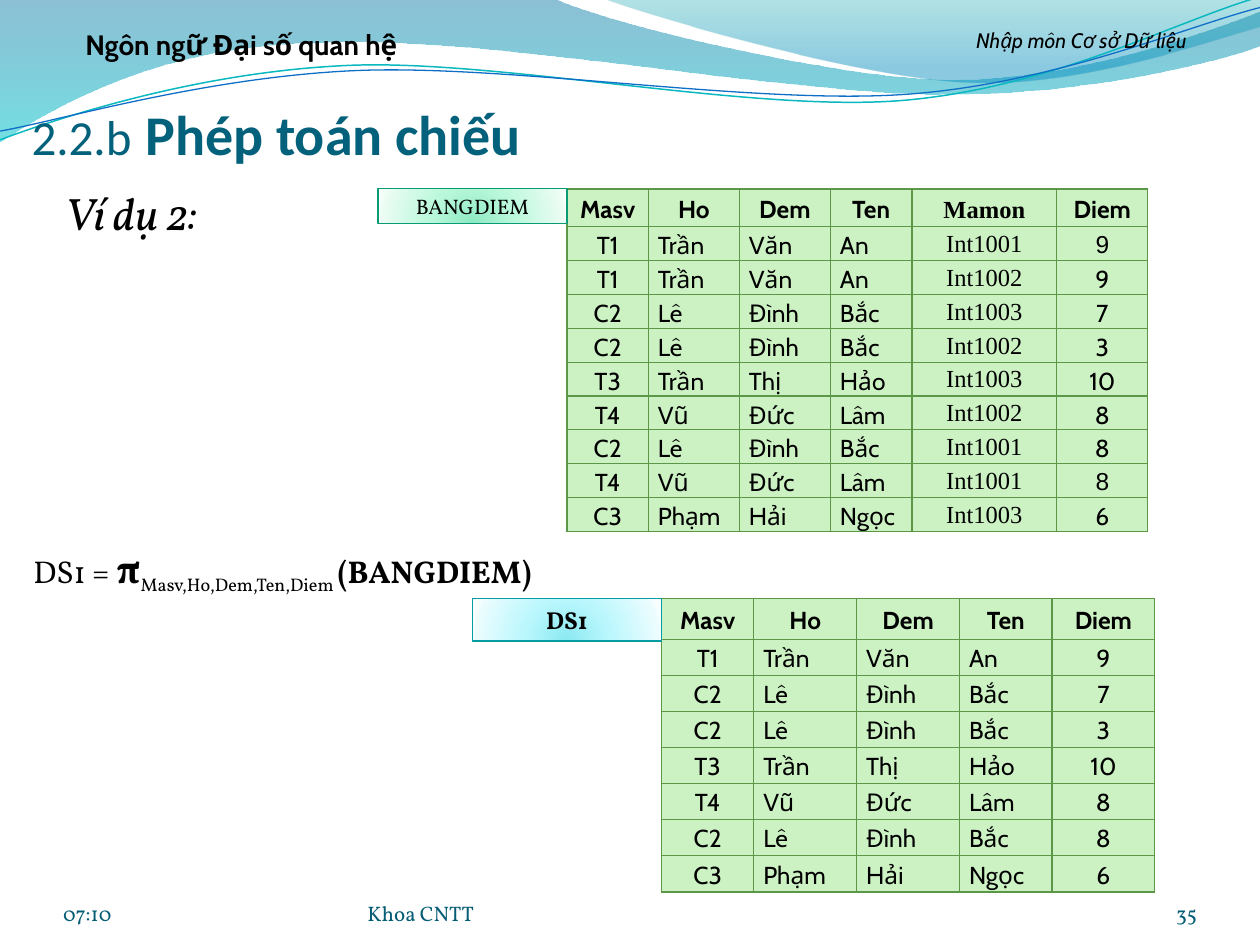
from lxml.etree import SubElement
from pptx import Presentation
from pptx.dml.color import RGBColor
from pptx.enum.shapes import MSO_SHAPE
from pptx.enum.text import MSO_ANCHOR, PP_ALIGN
from pptx.oxml.ns import qn
from pptx.util import Pt

COLORS = {
    "ink": "000000", "title": "04617B", "footer": "045D75",
    "cell": "CCF2C4", "border": "5B9747",
    "teal_wave": "0AB8BF", "blue_wave": "0F6FC6",
}

BANDS = [
    ((0, -0.7),
     [[(316.8, -0.7)],
      [(342.7, 12.2), (478, 45.4), (545.8, 45.4)],
      [(614, 45.4), (689.8, 18.7), (720, 6.5)],
      [(720.7, 25.9)],
      [(707.8, 31.7), (626.4, 54.7), (537, 54)],
      [(447.8, 54), (275, 20.2), (185, 24.5)],
      [(92.9, 25.2), (33, 59.8), (-0.7, 81.4)],
      [(0, -0.7)]],
     [(0, "0074A1", 45), (100, "00C6CF", 55)]),
    ((344.9, -0.7),
     [[(366.5, 7.9), (491, 44.6), (553.7, 46.8)],
      [(616.3, 49.7), (692, 23), (720, 15.1)],
      [(720, 0)],
      [(344.9, -0.7)]],
     [(0, "00A1A9", 30), (80, "008BBF", 45), (100, "008BBF", 45)]),
]
WAVES = [
    ((0, 79.9),
     [[(34.6, 67), (113.8, 41), (199.4, 37.4)],
      [(284.4, 33.8), (427, 64), (513.4, 57.6)],
      [(599.8, 51), (675.4, 10.8), (718.6, -1.4)]], "teal_wave", 0.85),
    ((0, 74.9),
     [[(33.8, 69), (118, 43.9), (203.8, 40.3)],
      [(290.2, 36.7), (429.8, 59.8), (516.2, 54)],
      [(602, 48.2), (677.5, 15.1), (720, 4.3)]], "blue_wave", 0.75),
]

FOOTER = {"font": "Vollkorn", "size": 12, "color": "footer",
          "insets": (0, 0, 0, 0), "anchor": MSO_ANCHOR.BOTTOM}
TEXTS = [
    ((30, 102, 654, 402), ["Ví dụ 2:"],
     {"font": "Vollkorn", "size": 26, "italic": True}),
    ((36, 500, 168, 29), ["07:10"], FOOTER),
    ((624, 500, 60, 29), ["35"], {**FOOTER, "align": PP_ALIGN.RIGHT}),
    ((210, 500, 264, 29), ["Khoa CNTT"], FOOTER),
    ((516, 12, 204, 27), ["Nhập môn Cơ sở Dữ liệu"],
     {"font": "Cabin", "size": 12, "italic": True, "align": PP_ALIGN.CENTER}),
    ((18, 12, 240, 27), ["Ngôn ngữ Đại số quan hệ"],
     {"font": "Cabin", "size": 16, "bold": True, "align": PP_ALIGN.CENTER}),
    ((18, 54, 660, 42),
     [("2.2.b", {"size": 28}), (" ", {"size": 35}),
      ("Phép toán chiếu", {"size": 32, "bold": True})],
     {"font": "Calibri", "color": "title", "insets": (0, 3.6, 0, 0),
      "anchor": MSO_ANCHOR.BOTTOM}),
    ((12, 306, 318, 36),
     ["DS1 = ", ("π", {"size": 24, "bold": True}),
      ("Masv,Ho,Dem,Ten,Diem ", {"baseline": -25}),
      ("(BANGDIEM)", {"bold": True})],
     {"font": "Vollkorn", "size": 18}),
]

GRADES = [
    ("Masv", "Ho", "Dem", "Ten", "Mamon", "Diem"),
    ("T1", "Trần", "Văn", "An", "Int1001", "9"),
    ("T1", "Trần", "Văn", "An", "Int1002", "9"),
    ("C2", "Lê", "Đình", "Bắc", "Int1003", "7"),
    ("C2", "Lê", "Đình", "Bắc", "Int1002", "3"),
    ("T3", "Trần", "Thị", "Hảo", "Int1003", "10"),
    ("T4", "Vũ", "Đức", "Lâm", "Int1002", "8"),
    ("C2", "Lê", "Đình", "Bắc", "Int1001", "8"),
    ("T4", "Vũ", "Đức", "Lâm", "Int1001", "8"),
    ("C3", "Phạm", "Hải", "Ngọc", "Int1003", "6"),
]
PROJECTION = list(dict.fromkeys(row[:4] + row[5:] for row in GRADES))
TABLES = [
    (GRADES, (324, 108), (46.6, 52, 52, 46.6, 82.8, 52), (21.6, 18),
     {(1, 5): "Arial", (8, 5): "Arial"}),
    (PROJECTION, (378, 342), (52.8, 58.8, 58.8, 52.8, 58.8), (23.3, 20.65), {}),
]
LABELS = [
    ("BANGDIEM", (216, 107.8, 108, 20), ("8DEAC2", "BAF8DB", "EAFCF3", "F7FFFB"),
     "0A9B74", {"size": 12}),
    ("DS1", (270, 342, 108, 24.3), ("8BE9F1", "B9F7FD", "EAFCFE", "F8FEFF"),
     "069CA3", {"size": 14, "bold": True}),
]


def rgb(color):
    return RGBColor.from_string(COLORS.get(color, color))


def write_text(frame, runs, font="Cabin", size=14, color="ink", bold=False,
               italic=False, align=PP_ALIGN.LEFT, anchor=MSO_ANCHOR.TOP,
               insets=(7.2, 3.6, 7.2, 3.6), spacing=None):
    frame.word_wrap = True
    frame.vertical_anchor = anchor
    (frame.margin_left, frame.margin_top,
     frame.margin_right, frame.margin_bottom) = map(Pt, insets)
    paragraph = frame.paragraphs[0]
    paragraph.alignment = align
    paragraph.line_spacing = spacing
    for part in runs:
        words, own = (part, {}) if isinstance(part, str) else part
        run = paragraph.add_run()
        run.text = words
        run.font.name = font
        run.font.size = Pt(own.get("size", size))
        run.font.bold = own.get("bold", bold)
        run.font.italic = italic
        run.font.color.rgb = rgb(color)
        if "baseline" in own:
            run.font._element.set("baseline", str(own["baseline"] * 1000))


def add_color(parent, color, alpha=100):
    node = SubElement(parent, qn("a:srgbClr"), val=color)
    if alpha < 100:
        SubElement(node, qn("a:alpha"), val=str(alpha * 1000))


def fill_gradient(shape, stops, radial=False):
    shape.fill.gradient()
    gradient = shape._element.spPr.find(qn("a:gradFill"))
    for child in list(gradient):
        gradient.remove(child)
    stop_list = SubElement(gradient, qn("a:gsLst"))
    for position, color, alpha in stops:
        add_color(SubElement(stop_list, qn("a:gs"), pos=str(position * 1000)),
                  color, alpha)
    if radial:
        circle = SubElement(gradient, qn("a:path"), path="circle")
        SubElement(circle, qn("a:fillToRect"),
                   l="50000", t="130000", r="50000", b="-30000")
    else:
        SubElement(gradient, qn("a:lin"), ang="5400000", scaled="1")


def add_curve(shapes, start, segments, close):
    scale = 100
    anchors = [start] + [segment[-1] for segment in segments]
    left, top = (min(anchor[i] for anchor in anchors) for i in (0, 1))
    scaled = [(round(x * scale), round(y * scale)) for x, y in anchors]
    builder = shapes.build_freeform(*scaled[0], scale=Pt(1) / scale)
    builder.add_line_segments(scaled[1:], close=close)
    curve = builder.convert_to_shape()
    curve.shadow.inherit = False
    lines = list(curve._element.iter(qn("a:lnTo")))
    for line, segment in zip(lines, segments):
        if len(segment) == 3:
            bend = SubElement(line.getparent(), qn("a:cubicBezTo"))
            for x, y in segment:
                SubElement(bend, qn("a:pt"), x=str(round((x - left) * scale)),
                           y=str(round((y - top) * scale)))
            line.getparent().replace(line, bend)
    return curve


def add_grid(shapes, rows, corner, widths, heights, fonts):
    row_heights = [heights[0]] + [heights[1]] * (len(rows) - 1)
    grid = shapes.add_table(len(rows), len(widths), *map(Pt, corner),
                            Pt(sum(widths)), Pt(sum(row_heights))).table
    grid.first_row = grid.horz_banding = False
    for column, width in zip(grid.columns, widths):
        column.width = Pt(width)
    for r, row in enumerate(rows):
        grid.rows[r].height = Pt(row_heights[r])
        for c, value in enumerate(row):
            cell = grid.cell(r, c)
            for side in ("L", "R", "T", "B"):
                edge = SubElement(cell._tc.get_or_add_tcPr(), qn("a:ln" + side),
                                  w=str(Pt(0.75)))
                add_color(SubElement(edge, qn("a:solidFill")), COLORS["border"])
            cell.fill.solid()
            cell.fill.fore_color.rgb = rgb("cell")
            cell.vertical_anchor = MSO_ANCHOR.TOP if r else MSO_ANCHOR.MIDDLE
            cell.margin_left = cell.margin_right = Pt(5.4)
            cell.margin_top = cell.margin_bottom = 0
            font = "Times New Roman" if rows[0][c] == "Mamon" else fonts.get((r, c), "Cabin")
            is_name = r > 0 and rows[0][c] in ("Ho", "Dem", "Ten")
            write_text(cell.text_frame, [value], font=font, bold=r == 0, spacing=1.15,
                       align=PP_ALIGN.LEFT if is_name else PP_ALIGN.CENTER,
                       anchor=None, insets=(0, 0, 0, 0))


def add_label(shapes, name, place, shades, outline, style):
    label = shapes.add_shape(MSO_SHAPE.RECTANGLE, *map(Pt, place))
    fill_gradient(label, [(p, c, 100) for p, c in zip((0, 43, 93, 100), shades)], True)
    label.line.color.rgb = rgb(outline)
    label.line.width = Pt(0.75)
    label.shadow.inherit = False
    write_text(label.text_frame, [name], font="Vollkorn", align=PP_ALIGN.CENTER,
               anchor=MSO_ANCHOR.MIDDLE, **style)


def main():
    deck = Presentation()
    deck.slide_width, deck.slide_height = Pt(720), Pt(540)
    shapes = deck.slides.add_slide(deck.slide_layouts[6]).shapes
    for start, segments, stops in BANDS:
        band = add_curve(shapes, start, segments, True)
        fill_gradient(band, stops)
        band.line.fill.background()
    for start, segments, color, width in WAVES:
        wave = add_curve(shapes, start, segments, False)
        wave.fill.background()
        wave.line.color.rgb = rgb(color)
        wave.line.width = Pt(width)
    for place, runs, style in TEXTS:
        write_text(shapes.add_textbox(*map(Pt, place)).text_frame, runs, **style)
    for table, label in zip(TABLES, LABELS):
        add_grid(shapes, *table)
        add_label(shapes, *label)
    deck.save("out.pptx")


if __name__ == "__main__":
    main()
